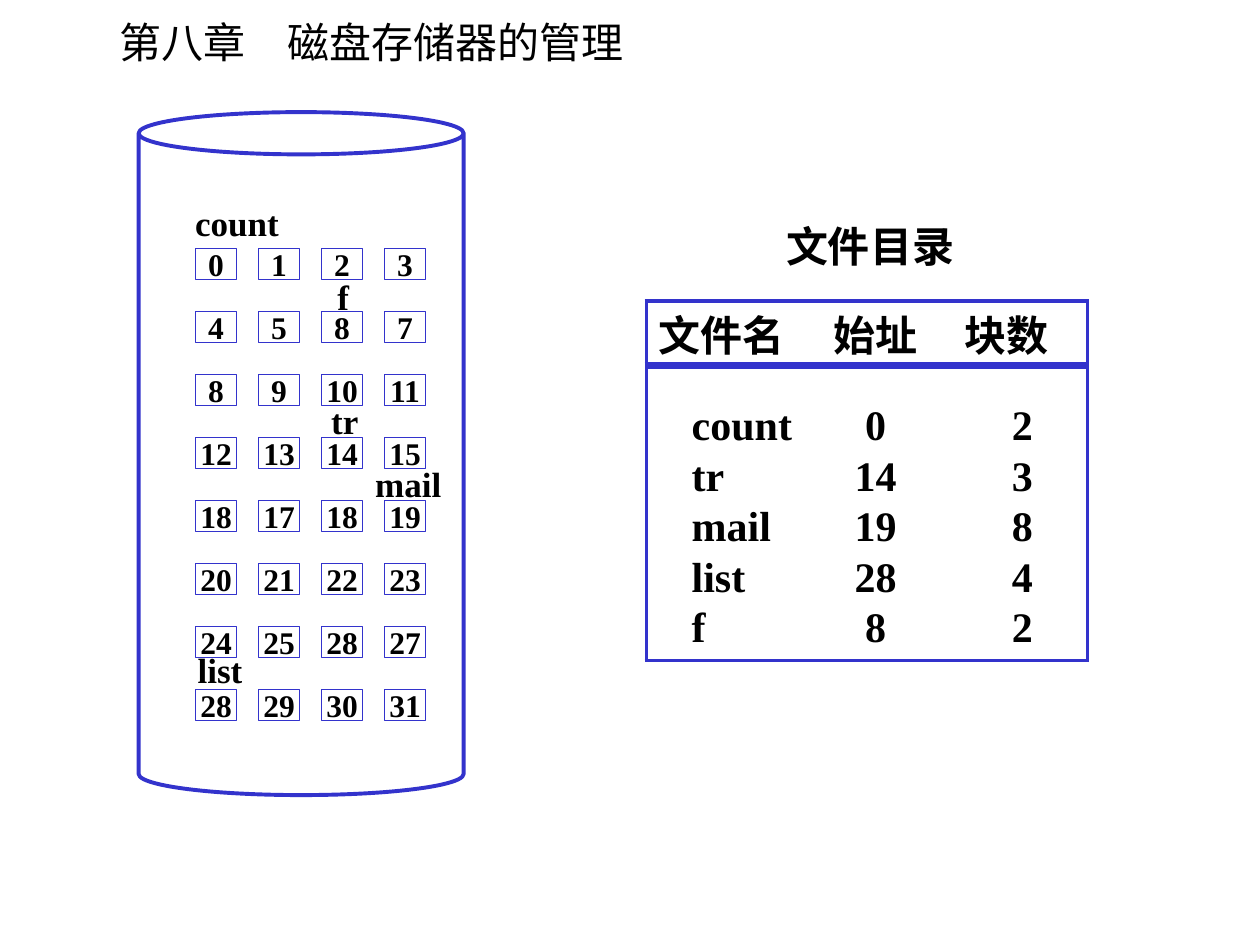
from lxml.etree import SubElement
from pptx import Presentation
from pptx.dml.color import RGBColor
from pptx.enum.shapes import MSO_SHAPE
from pptx.enum.text import MSO_ANCHOR, PP_ALIGN
from pptx.oxml.ns import qn
from pptx.util import Inches, Pt

BLUE = "3333CC"
BLACK = "000000"
LATIN = "Times New Roman"
CHINESE = "Noto Sans CJK SC"

BLOCK_ROWS = [
    [0, 1, 2, 3],
    [4, 5, 8, 7],
    [8, 9, 10, 11],
    [12, 13, 14, 15],
    [18, 17, 18, 19],
    [20, 21, 22, 23],
    [24, 25, 28, 27],
    [28, 29, 30, 31],
]
FILE_LABELS = [
    ("count", 0.35, 0.66, 0.94),
    ("f", 1.48, 1.25, 0.3),
    ("tr", 1.43, 2.23, 0.5),
    ("mail", 1.78, 2.73, 0.8),
    ("list", 0.37, 4.21, 0.75),
]
HEADINGS = ["文件名", "始址", "块数"]
FILES = [
    ("count", 0, 2),
    ("tr", 14, 3),
    ("mail", 19, 8),
    ("list", 28, 4),
    ("f", 8, 2),
]


def color(hex_code):
    """Turn a hex string into a colour."""
    return RGBColor.from_string(hex_code)


def write(frame, text, size=24, font=LATIN, bold=True, align=PP_ALIGN.LEFT):
    """Write one formatted paragraph into a text frame."""
    paragraph = frame.paragraphs[0]
    paragraph.alignment = align
    run = paragraph.add_run()
    run.text = text
    run.font.size = Pt(size)
    run.font.name = font
    run.font.bold = bold
    run.font.color.rgb = color(BLACK)
    SubElement(run.font._element, qn("a:ea")).set("typeface", CHINESE)


def add_label(slide, text, left, top, width, height, **style):
    """Add a text box holding one line."""
    label = slide.shapes.add_textbox(left, top, width, height)
    label.text_frame.word_wrap = True
    write(label.text_frame, text, **style)


def add_outline(slide, kind, left, top, width, height, weight):
    """Add an unfilled shape with a blue outline."""
    outline = slide.shapes.add_shape(kind, left, top, width, height)
    outline.shadow.inherit = False
    outline.fill.background()
    outline.line.color.rgb = color(BLUE)
    outline.line.width = Pt(weight)
    return outline


def add_block(slide, number, left, top):
    """Add one numbered disk block."""
    block = add_outline(slide, MSO_SHAPE.RECTANGLE, left, top,
                        Inches(0.33), Inches(0.25), 0.75)
    frame = block.text_frame
    frame.margin_left = frame.margin_right = 0
    frame.margin_top = frame.margin_bottom = 0
    frame.vertical_anchor = MSO_ANCHOR.MIDDLE
    frame.word_wrap = False
    write(frame, str(number), size=18, align=PP_ALIGN.CENTER)


def draw_disk(slide, left, top, width, height):
    """Draw the disk cylinder with its blocks and file labels."""
    cylinder = add_outline(slide, MSO_SHAPE.CAN, left, top, width, height, 2.25)
    cylinder.adjustments[0] = 0.13
    pitch = Inches(0.5)
    for row, numbers in enumerate(BLOCK_ROWS):
        for column, number in enumerate(numbers):
            add_block(slide, number, left + Inches(0.45) + column * pitch,
                      top + Inches(1.08) + row * pitch)
    for name, across, down, label_width in FILE_LABELS:
        add_label(slide, name, left + Inches(across), top + Inches(down),
                  Inches(label_width), Inches(0.44), size=20)


def set_borders(cell, weights):
    """Draw the given cell sides in blue and hide the others."""
    properties = cell._tc.get_or_add_tcPr()
    for position, side in enumerate(("lnL", "lnR", "lnT", "lnB")):
        weight = weights.get(side, 0)
        border = properties.makeelement(qn(f"a:{side}"), {"w": str(Pt(weight))})
        if weight:
            fill = SubElement(border, qn("a:solidFill"))
            SubElement(fill, qn("a:srgbClr")).set("val", BLUE)
        else:
            SubElement(border, qn("a:noFill"))
        properties.insert(position, border)


def draw_directory(slide, left, top, width, height):
    """Draw the file directory caption and table."""
    add_label(slide, "文件目录", left + Inches(1.01), top, Inches(1.6), Inches(0.5))
    table_top = top + Inches(0.69)
    rows = [HEADINGS, *FILES]
    last_row, last_column = len(rows) - 1, len(HEADINGS) - 1
    table = slide.shapes.add_table(len(rows), len(HEADINGS), left, table_top,
                                   width, height - Inches(0.69)).table
    table.first_row = table.horz_banding = False
    for column, share in zip(table.columns, (1.17, 1.3, 1.03)):
        column.width = Inches(share)
    for row, row_height in zip(table.rows, (0.51, 0.67, 0.4, 0.4, 0.4, 0.47)):
        row.height = Inches(row_height)
    for r, values in enumerate(rows):
        for c, value in enumerate(values):
            cell = table.cell(r, c)
            cell.fill.background()
            cell.margin_top = cell.margin_right = 0
            cell.margin_bottom = Inches(0.07) if r == last_row else 0
            indent = 0.1 if r == 0 else 0.36
            cell.margin_left = Inches(indent) if c == 0 else 0
            if r == 0 and c == last_column:
                cell.margin_right = Inches(0.26)
            cell.vertical_anchor = MSO_ANCHOR.BOTTOM if r else MSO_ANCHOR.MIDDLE
            write(cell.text_frame, str(value),
                  align=PP_ALIGN.CENTER if c else PP_ALIGN.LEFT)
            sides = {"lnL": 2.25 * (c == 0), "lnR": 2.25 * (c == last_column)}
            sides["lnT"] = {0: 2.25, 1: 4.5}.get(r, 0)
            sides["lnB"] = {0: 4.5, last_row: 2.25}.get(r, 0)
            set_borders(cell, sides)


def main():
    """Build and save the slide."""
    deck = Presentation()
    deck.slide_width, deck.slide_height = Inches(10), Inches(7.5)
    slide = deck.slides.add_slide(deck.slide_layouts[6])
    add_label(slide, "第八章　磁盘存储器的管理", Inches(0.85), Inches(0.08),
              Inches(4.4), Inches(0.5), font=CHINESE, bold=False)
    draw_disk(slide, Inches(1.1), Inches(0.89), Inches(2.58), Inches(5.42))
    draw_directory(slide, Inches(5.13), Inches(1.7), Inches(3.5), Inches(3.54))
    deck.save("out.pptx")


if __name__ == "__main__":
    main()
